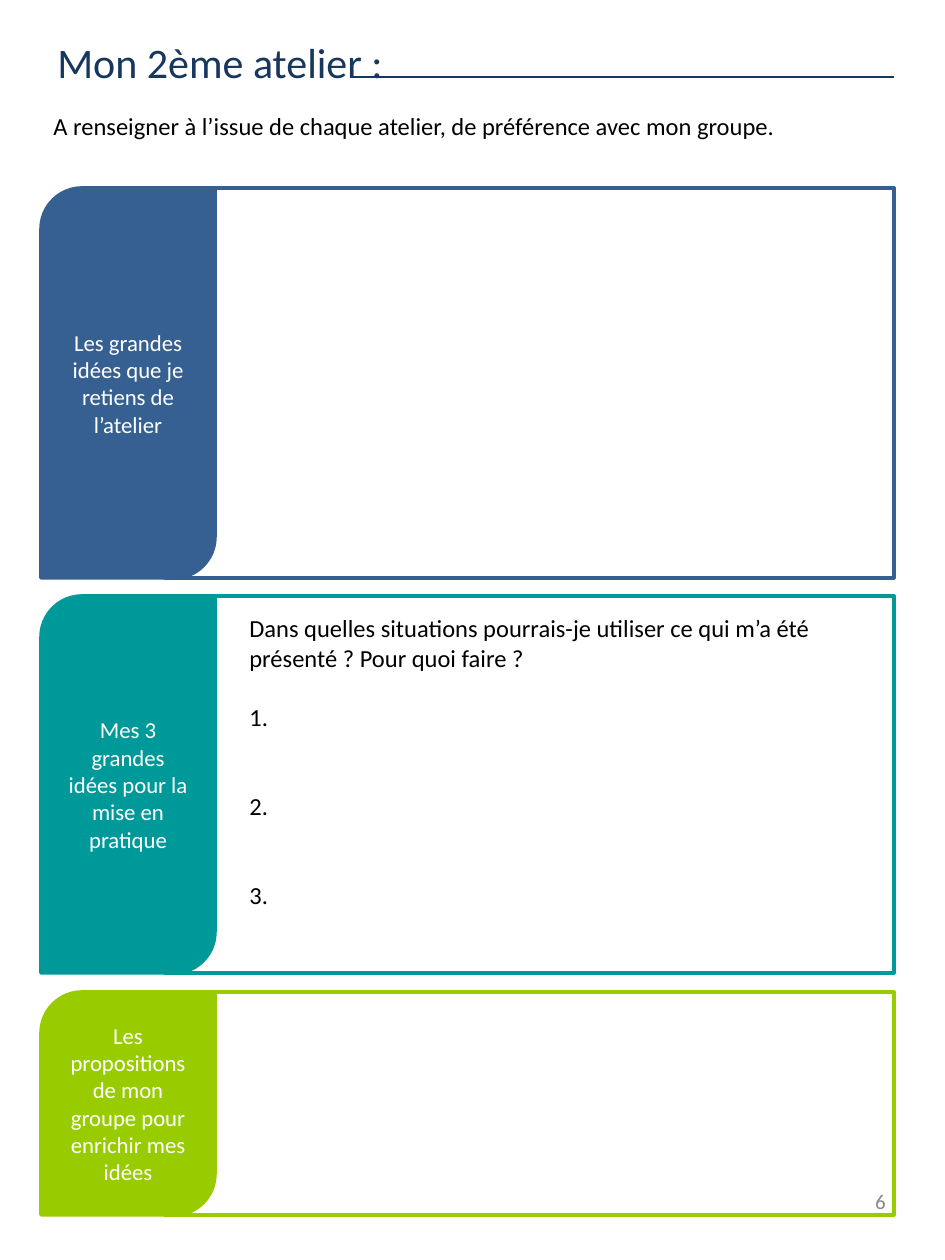
from dataclasses import dataclass

from lxml import etree
from pptx import Presentation
from pptx import util as u
from pptx.dml.color import RGBColor
from pptx.enum import shapes, text
from pptx.oxml import ns

EMU_PER_PX = u.Inches(1) / 126
FONT = "Calibri"
WHITE = RGBColor(0xFF, 0xFF, 0xFF)
BLACK = RGBColor(0x00, 0x00, 0x00)
NAVY = RGBColor(0x17, 0x37, 0x5E)
BLUE = RGBColor(0x37, 0x60, 0x92)
TEAL = RGBColor(0x00, 0x99, 0x99)
GREEN = RGBColor(0x99, 0xCC, 0x00)
GREY = RGBColor(0x89, 0x89, 0x89)

TAB_LEFT, TAB_WIDTH, TAB_RADIUS = 41, 174, 41
FRAME_LEFT, FRAME_RIGHT = 165, 894


@dataclass(frozen=True)
class Section:
    label: str
    top: int
    height: int
    color: RGBColor


@dataclass(frozen=True)
class Caption:
    lines: tuple[str, ...]
    left: int
    top: int
    width: int
    height: int
    size: int
    color: RGBColor
    align: text.PP_ALIGN = text.PP_ALIGN.LEFT
    anchor: text.MSO_ANCHOR = text.MSO_ANCHOR.TOP
    gaps: tuple[int, ...] = (0,)


SECTIONS = (
    Section("Les grandes idées que je retiens de l’atelier", 188, 390, BLUE),
    Section("Mes 3 grandes idées pour la mise en pratique", 596, 377, TEAL),
    Section("Les propositions de mon groupe pour enrichir mes idées", 992, 223, GREEN),
)
TITLE = Caption(("Mon 2ème atelier :",), 45, 19, 869, 86, 24, NAVY,
                anchor=text.MSO_ANCHOR.MIDDLE)
CAPTIONS = (
    Caption(("Dans quelles situations pourrais-je utiliser ce qui m’a été "
             "présenté ? Pour quoi faire ?", "1.", "2.", "3."),
            237, 607, 633, 310, 14, BLACK, gaps=(0, 17, 34, 34)),
    Caption(("A renseigner à l’issue de chaque atelier, de préférence avec mon groupe.",),
            41, 105, 853, 43, 14, BLACK),
    Caption(("6",), 678, 1168, 220, 67, 12, GREY,
            text.PP_ALIGN.RIGHT, text.MSO_ANCHOR.MIDDLE),
)


def px(length: int) -> u.Emu:
    return u.Emu(round(length * EMU_PER_PX))


def style_paragraph(paragraph, size: int, color: RGBColor, align: text.PP_ALIGN) -> None:
    paragraph.alignment = align
    paragraph.font.size = u.Pt(size)
    for run in paragraph.runs:
        run.font.name = FONT
        run.font.size = u.Pt(size)
        run.font.color.rgb = color


def draw_caption(slide, caption: Caption) -> None:
    box = slide.shapes.add_textbox(px(caption.left), px(caption.top),
                                   px(caption.width), px(caption.height))
    frame = box.text_frame
    frame.word_wrap = True
    frame.vertical_anchor = caption.anchor
    frame.text = "\n".join(caption.lines)
    for paragraph, gap in zip(frame.paragraphs, caption.gaps):
        paragraph.space_before = u.Pt(gap)
        style_paragraph(paragraph, caption.size, caption.color, caption.align)


def draw_block(slide, kind: shapes.MSO_SHAPE, left: int, width: int,
               section: Section, fill: RGBColor):
    block = slide.shapes.add_shape(kind, px(left), px(section.top),
                                   px(width), px(section.height))
    block.shadow.inherit = False
    block.fill.solid()
    block.fill.fore_color.rgb = fill
    block.line.color.rgb = section.color
    block.line.width = u.Pt(2)
    return block


def draw_section(slide, section: Section) -> None:
    draw_block(slide, shapes.MSO_SHAPE.RECTANGLE, FRAME_LEFT,
               FRAME_RIGHT - FRAME_LEFT, section, WHITE)
    tab = draw_block(slide, shapes.MSO_SHAPE.ROUND_2_DIAG_RECTANGLE, TAB_LEFT,
                     TAB_WIDTH, section, section.color)
    tab.adjustments[0] = TAB_RADIUS / TAB_WIDTH
    tab.adjustments[1] = 0
    frame = tab.text_frame
    frame.word_wrap = True
    frame.vertical_anchor = text.MSO_ANCHOR.MIDDLE
    frame.text = section.label
    style_paragraph(frame.paragraphs[0], 13, WHITE, text.PP_ALIGN.CENTER)


def draw_title_rule(slide) -> None:
    rule = slide.shapes.add_connector(shapes.MSO_CONNECTOR.STRAIGHT,
                                      px(353), px(77), px(FRAME_RIGHT), px(77))
    rule.line.color.rgb = NAVY
    rule.line.width = u.Pt(0.75)
    etree.SubElement(rule.element.spPr, ns.qn("a:effectLst"))


def main() -> None:
    deck = Presentation()
    deck.slide_width, deck.slide_height = px(945), px(1260)
    slide = deck.slides.add_slide(deck.slide_layouts[6])
    draw_caption(slide, TITLE)
    draw_title_rule(slide)
    for section in SECTIONS:
        draw_section(slide, section)
    for caption in CAPTIONS:
        draw_caption(slide, caption)
    deck.save("out.pptx")


if __name__ == "__main__":
    main()
